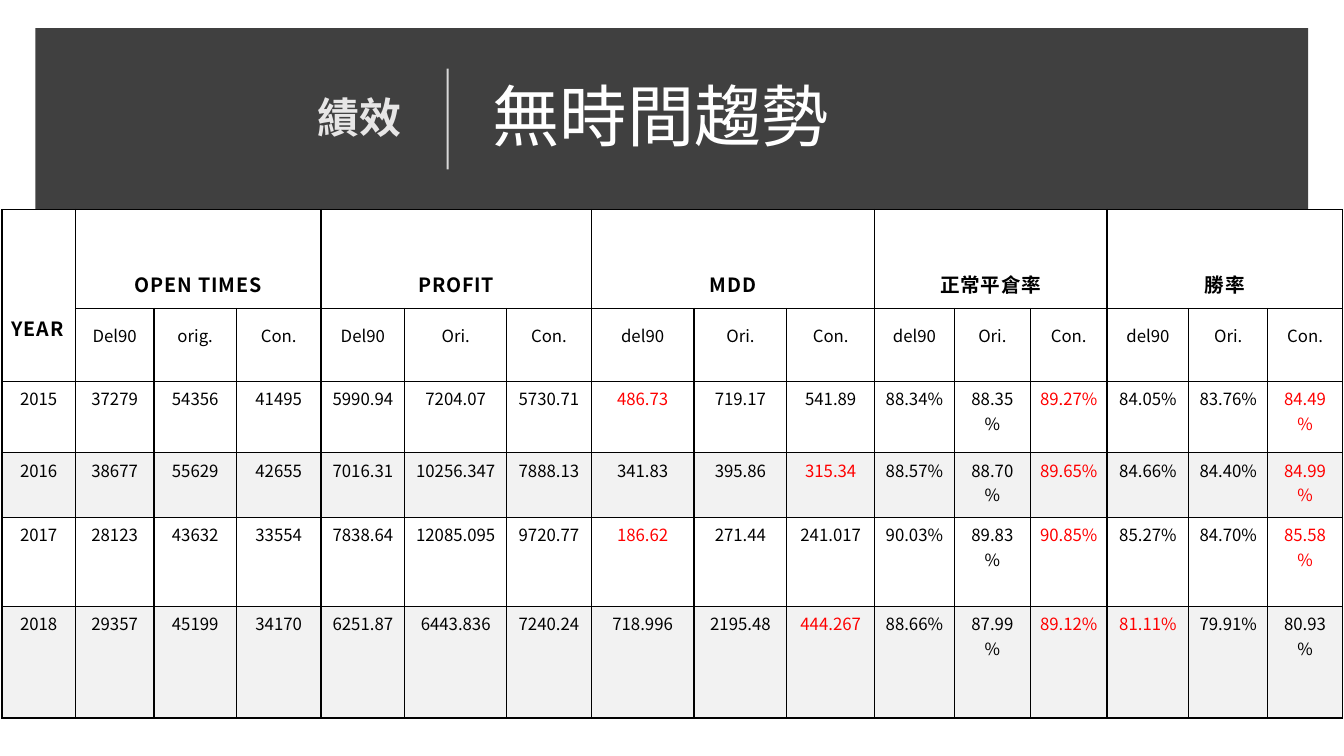
import pptx
import pptx.util
from lxml import etree
from pptx.dml.color import RGBColor
from pptx.enum.shapes import MSO_CONNECTOR, MSO_SHAPE
from pptx.enum.text import MSO_ANCHOR, PP_ALIGN
from pptx.oxml.ns import qn
from pptx.util import Cm

COLORS = {
    "band": "404040", "white": "FFFFFF", "pale": "E7E6E6",
    "black": "000000", "best": "FF0000", "stripe": "F2F2F2",
}
FONT = "Noto Sans CJK SC"

COLUMN_WIDTHS = [1.85, 1.98, 2.08, 2.13, 2.11, 2.57, 2.13, 2.59,
                 2.34, 2.21, 2.01, 1.92, 1.93, 2.06, 1.99, 1.88]
ROW_HEIGHTS = [2.49, 1.78, 1.8, 1.63, 2.24, 2.82]
GROUPS = ["OPEN TIMES", "PROFIT", "MDD", "正常平倉率", "勝率"]
SUBHEADS = ("Del90 orig. Con. Del90 Ori. Con. del90 Ori. Con. "
            "del90 Ori. Con. del90 Ori. Con.").split()
# An asterisk marks the best value, shown in red.
RESULTS = [row.split() for row in (
    "2015 37279 54356 41495 5990.94 7204.07 5730.71 *486.73 719.17 541.89 "
    "88.34% 88.35% *89.27% 84.05% 83.76% *84.49%",
    "2016 38677 55629 42655 7016.31 10256.347 7888.13 341.83 395.86 *315.34 "
    "88.57% 88.70% *89.65% 84.66% 84.40% *84.99%",
    "2017 28123 43632 33554 7838.64 12085.095 9720.77 *186.62 271.44 241.017 "
    "90.03% 89.83% *90.85% 85.27% 84.70% *85.58%",
    "2018 29357 45199 34170 6251.87 6443.836 7240.24 718.996 2195.48 *444.267 "
    "88.66% 87.99% *89.12% *81.11% 79.91% 80.93%",
)]


def color(name):
    return RGBColor.from_string(COLORS[name])


def write(frame, text, size=12, ink="black", bold=False, font=FONT,
          align=PP_ALIGN.CENTER, line_spacing=None, tracking=0):
    """Put one formatted line of text in a text frame."""
    frame.word_wrap = True
    para = frame.paragraphs[0]
    para.alignment = align
    para.line_spacing = line_spacing
    span = para.add_run()
    span.text = text
    span.font.name = font
    span.font.size = pptx.util.Pt(size)
    span.font.bold = bold
    span.font.color.rgb = color(ink)
    properties = span._r.get_or_add_rPr()
    properties.set("spc", str(tracking))
    properties.find(qn("a:latin")).addnext(
        etree.Element(qn("a:ea"), typeface=FONT))


def add_label(page, left, top, width, height, text, **style):
    frame = page.shapes.add_textbox(
        Cm(left), Cm(top), Cm(width), Cm(height)).text_frame
    frame.vertical_anchor = MSO_ANCHOR.MIDDLE
    write(frame, text, line_spacing=0.9, **style)


def add_divider(page, x, top, height):
    line = page.shapes.add_connector(
        MSO_CONNECTOR.STRAIGHT, Cm(x), Cm(top + height), Cm(x), Cm(top))
    line.line.color.rgb = color("white")
    line.line.width = pptx.util.Pt(1.5)
    properties = line._element.spPr
    tint = next(properties.iter(qn("a:srgbClr")))
    etree.SubElement(tint, qn("a:alpha"), val="80000")
    etree.SubElement(properties, qn("a:effectLst"))


def add_header(page, left, top, width, height):
    band = page.shapes.add_shape(
        MSO_SHAPE.RECTANGLE, Cm(left), Cm(top), Cm(width), Cm(height))
    band.shadow.inherit = False
    band.fill.solid()
    band.fill.fore_color.rgb = color("band")
    band.line.fill.background()
    text_top, text_height = top + 0.56, 3.5
    add_label(page, left + 11.28, text_top, 19.38, text_height, "無時間趨勢",
              size=48, ink="white", align=PP_ALIGN.LEFT)
    add_label(page, left + 1.45, text_top, 8.03, text_height, "績效",
              size=30, ink="pale", bold=True, font="Calibri",
              align=PP_ALIGN.RIGHT)
    add_divider(page, left + 10.39, top + 1.02, 2.54)


def style_cell(cell, striped):
    """Give a cell thin black borders and its fill."""
    properties = cell._tc.get_or_add_tcPr()
    for side in ("lnL", "lnR", "lnT", "lnB"):
        border = etree.SubElement(properties, qn("a:" + side), w="12700")
        fill = etree.SubElement(border, qn("a:solidFill"))
        etree.SubElement(fill, qn("a:srgbClr"), val=COLORS["black"])
    if striped:
        cell.fill.solid()
        cell.fill.fore_color.rgb = color("stripe")
    else:
        cell.fill.background()


def fill_cell(cell, text, anchor=MSO_ANCHOR.BOTTOM, top=0.25, bottom=0.25,
              **style):
    cell.vertical_anchor = anchor
    cell.margin_left = cell.margin_right = Cm(0.24)
    cell.margin_top, cell.margin_bottom = Cm(top), Cm(bottom)
    write(cell.text_frame, text, **style)


def add_results_table(page, left, top):
    table = page.shapes.add_table(
        len(ROW_HEIGHTS), len(COLUMN_WIDTHS), Cm(left), Cm(top),
        Cm(sum(COLUMN_WIDTHS)), Cm(sum(ROW_HEIGHTS))).table
    table.first_row = table.horz_banding = False
    for column, width in zip(table.columns, COLUMN_WIDTHS):
        column.width = Cm(width)
    for index, height in enumerate(ROW_HEIGHTS):
        table.rows[index].height = Cm(height)
        for cell in table.rows[index].cells:
            style_cell(cell, striped=index in (3, 5))

    heading = {"size": 14, "bold": True, "tracking": 60}
    table.cell(0, 0).merge(table.cell(1, 0))
    fill_cell(table.cell(0, 0), "YEAR", bottom=0.99, align=PP_ALIGN.LEFT,
              **heading)
    for index, group in enumerate(GROUPS):
        first = 1 + 3 * index
        table.cell(0, first).merge(table.cell(0, first + 2))
        fill_cell(table.cell(0, first), group, **heading)
    for column, subhead in enumerate(SUBHEADS, 1):
        fill_cell(table.cell(1, column), subhead, top=0.2, bottom=0.86)
    for row, values in enumerate(RESULTS, 2):
        for column, value in enumerate(values):
            fill_cell(table.cell(row, column), value.lstrip("*"),
                      anchor=MSO_ANCHOR.TOP, top=0.13,
                      ink="best" if value.startswith("*") else "black")


def main():
    deck = pptx.Presentation()
    deck.slide_width, deck.slide_height = Cm(33.87), Cm(19.05)
    page = deck.slides.add_slide(deck.slide_layouts[6])
    add_header(page, 0.89, 0.71, 32.08, 4.57)
    add_results_table(page, 0.05, 5.28)
    deck.save("out.pptx")


if __name__ == "__main__":
    main()
